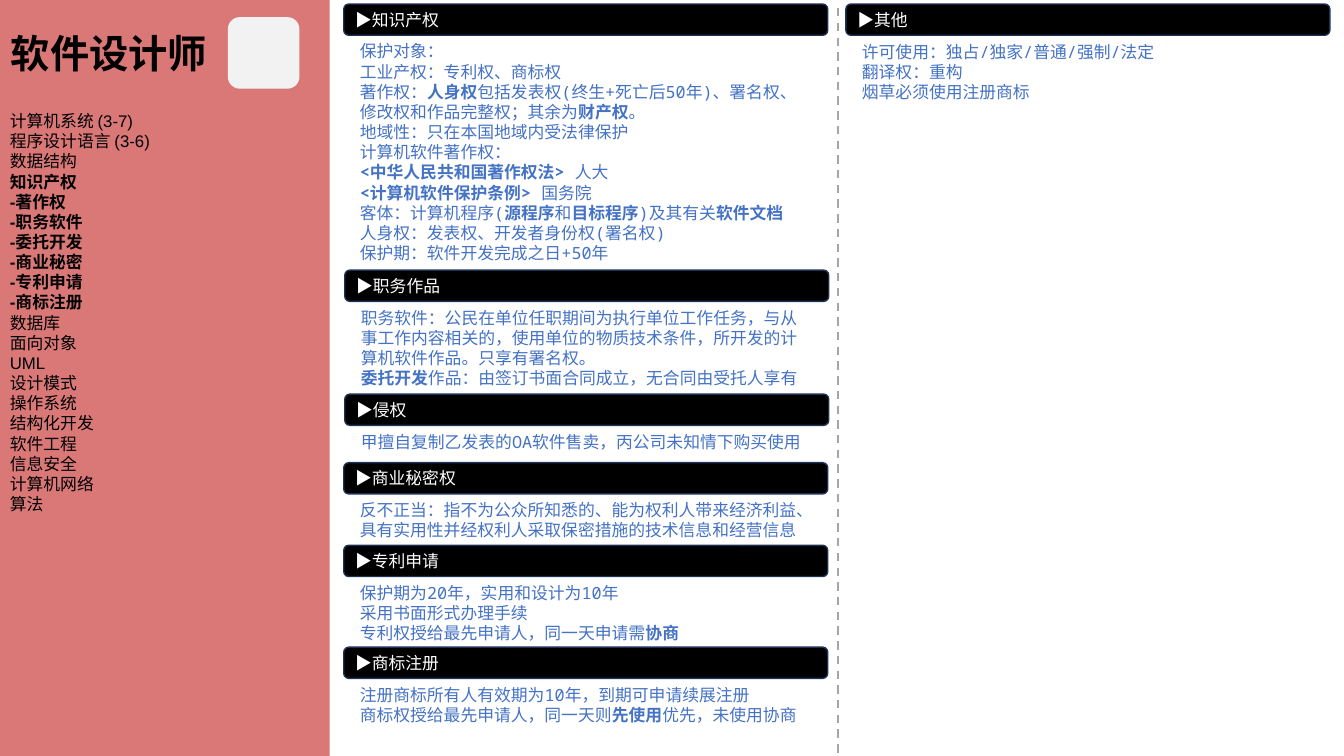
import pptx
import pptx.util
import pptx.dml.color
import pptx.enum.dml
import pptx.enum.shapes
import pptx.enum.text
import pptx.oxml.ns
import lxml.etree

Inches = pptx.util.Inches
SHAPES = pptx.enum.shapes.MSO_SHAPE

COLORS = {
    "sidebar": "DA7878",
    "badge": "F2F2F2",
    "header": "000000",
    "header_line": "1E3256",
    "header_text": "FFFFFF",
    "body": "4472C4",
    "ink": "000000",
    "divider": "A5A5A5",
}

TOPICS = [
    "计算机系统 (3-7)", "程序设计语言 (3-6)", "数据结构", "**知识产权**",
    "**-著作权**", "**-职务软件**", "**-委托开发**", "**-商业秘密**",
    "**-专利申请**", "**-商标注册**", "数据库", "面向对象", "UML", "设计模式",
    "操作系统", "结构化开发", "软件工程", "信息安全", "计算机网络", "算法",
]

CARDS = [
    (3.41, 0.04, "知识产权", 11, [
        "保护对象：",
        "工业产权：专利权、商标权",
        "著作权：**人身权**包括发表权(终生+死亡后50年)、署名权、修改权和作品完整权；其余为**财产权**。",
        "地域性：只在本国地域内受法律保护",
        "计算机软件著作权：",
        "**<中华人民共和国著作权法> **人大",
        "**<计算机软件保护条例> **国务院",
        "客体：计算机程序(**源程序**和**目标程序**)及其有关**软件文档**",
        "人身权：发表权、开发者身份权(署名权)",
        "保护期：软件开发完成之日+50年",
    ]),
    (8.39, 0.04, "其他", 3, [
        "许可使用：独占/独家/普通/强制/法定",
        "翻译权：重构",
        "烟草必须使用注册商标",
    ]),
    (3.42, 2.68, "职务作品", 4, [
        "职务软件：公民在单位任职期间为执行单位工作任务，与从事工作内容相关的，使用单位的物质技术条件，所开发的计算机软件作品。只享有署名权。",
        "**委托开发**作品：由签订书面合同成立，无合同由受托人享有",
    ]),
    (3.42, 3.91, "侵权", 1, [
        "甲擅自复制乙发表的OA软件售卖，丙公司未知情下购买使用",
    ]),
    (3.41, 4.59, "商业秘密权", 2, [
        "反不正当：指不为公众所知悉的、能为权利人带来经济利益、具有实用性并经权利人采取保密措施的技术信息和经营信息",
    ]),
    (3.41, 5.41, "专利申请", 3, [
        "保护期为20年，实用和设计为10年",
        "采用书面形式办理手续",
        "专利权授给最先申请人，同一天申请需**协商**",
    ]),
    (3.41, 6.42, "商标注册", 2, [
        "注册商标所有人有效期为10年，到期可申请续展注册",
        "商标权授给最先申请人，同一天则**先使用**优先，未使用协商",
    ]),
]


def rgb(name):
    return pptx.dml.color.RGBColor.from_string(COLORS[name])


def write_text(frame, lines, size=12, font="Noto Sans Mono", color="body"):
    for index, line in enumerate(lines):
        paragraph = frame.paragraphs[0] if index == 0 else frame.add_paragraph()
        paragraph.alignment = pptx.enum.text.PP_ALIGN.LEFT
        for position, piece in enumerate(line.split("**")):
            if not piece:
                continue
            run = paragraph.add_run()
            run.text = piece
            run.font.size = pptx.util.Pt(size)
            run.font.bold = position % 2 == 1
            run.font.color.rgb = rgb(color)
            run.font.name = font
            east_asian = lxml.etree.SubElement(
                run.font._element, pptx.oxml.ns.qn("a:ea"))
            east_asian.set("typeface", "Noto Sans CJK SC")


class StudySlide:
    line_height = 0.202
    padding = 0.1
    header_size = (4.8, 0.31)
    body_width = 4.68

    def __init__(self, presentation):
        self.slide = presentation.slides.add_slide(presentation.slide_layouts[6])

    def block(self, shapes, kind, left, top, width, height, fill, line=None):
        shape = shapes.add_shape(
            kind, Inches(left), Inches(top), Inches(width), Inches(height))
        shape.shadow.inherit = False
        shape.fill.solid()
        shape.fill.fore_color.rgb = rgb(fill)
        if line:
            shape.line.color.rgb = rgb(line)
            shape.line.width = pptx.util.Pt(1)
        else:
            shape.line.fill.background()
        return shape

    def text(self, shapes, left, top, width, height, lines, wrap=True, **style):
        box = shapes.add_textbox(
            Inches(left), Inches(top), Inches(width), Inches(height))
        box.text_frame.word_wrap = wrap
        box.text_frame.auto_size = pptx.enum.text.MSO_AUTO_SIZE.SHAPE_TO_FIT_TEXT
        write_text(box.text_frame, lines, **style)

    def text_height(self, line_count):
        return self.padding + self.line_height * line_count

    def sidebar(self):
        shapes = self.slide.shapes
        self.block(shapes, SHAPES.RECTANGLE, 0, 0, 3.27, 7.5, "sidebar")
        self.block(shapes, SHAPES.ROUNDED_RECTANGLE, 2.26, 0.17, 0.71, 0.71, "badge")
        self.text(shapes, 0, 1.05, 3.27, self.text_height(len(TOPICS)), TOPICS,
                  font="Arial", color="ink")
        self.text(shapes, 0.01, 0.24, 2.17, 0.57, ["**软件设计师**"], wrap=False,
                  size=28, font="Arial", color="ink")

    def divider(self):
        connector = self.slide.shapes.add_connector(
            pptx.enum.shapes.MSO_CONNECTOR.STRAIGHT,
            Inches(8.31), Inches(0.08), Inches(8.31), Inches(7.47))
        connector.line.color.rgb = rgb("divider")
        connector.line.width = pptx.util.Pt(1.5)
        connector.line.dash_style = pptx.enum.dml.MSO_LINE.DASH
        lxml.etree.SubElement(
            connector._element.spPr, pptx.oxml.ns.qn("a:effectLst"))

    def card(self, left, top, title, line_count, lines):
        shapes = self.slide.shapes.add_group_shape().shapes
        header = self.block(shapes, SHAPES.ROUNDED_RECTANGLE, left, top,
                            *self.header_size, "header", "header_line")
        header.adjustments[0] = 0.16
        header.text_frame.vertical_anchor = pptx.enum.text.MSO_ANCHOR.MIDDLE
        write_text(header.text_frame, ["▶" + title], color="header_text")
        self.text(shapes, left + 0.06, top + 0.32, self.body_width,
                  self.text_height(line_count), lines)


def main():
    presentation = pptx.Presentation()
    presentation.slide_width = Inches(13.33)
    presentation.slide_height = Inches(7.5)
    study_slide = StudySlide(presentation)
    study_slide.sidebar()
    study_slide.divider()
    for card in CARDS:
        study_slide.card(*card)
    presentation.save("out.pptx")


if __name__ == "__main__":
    main()
